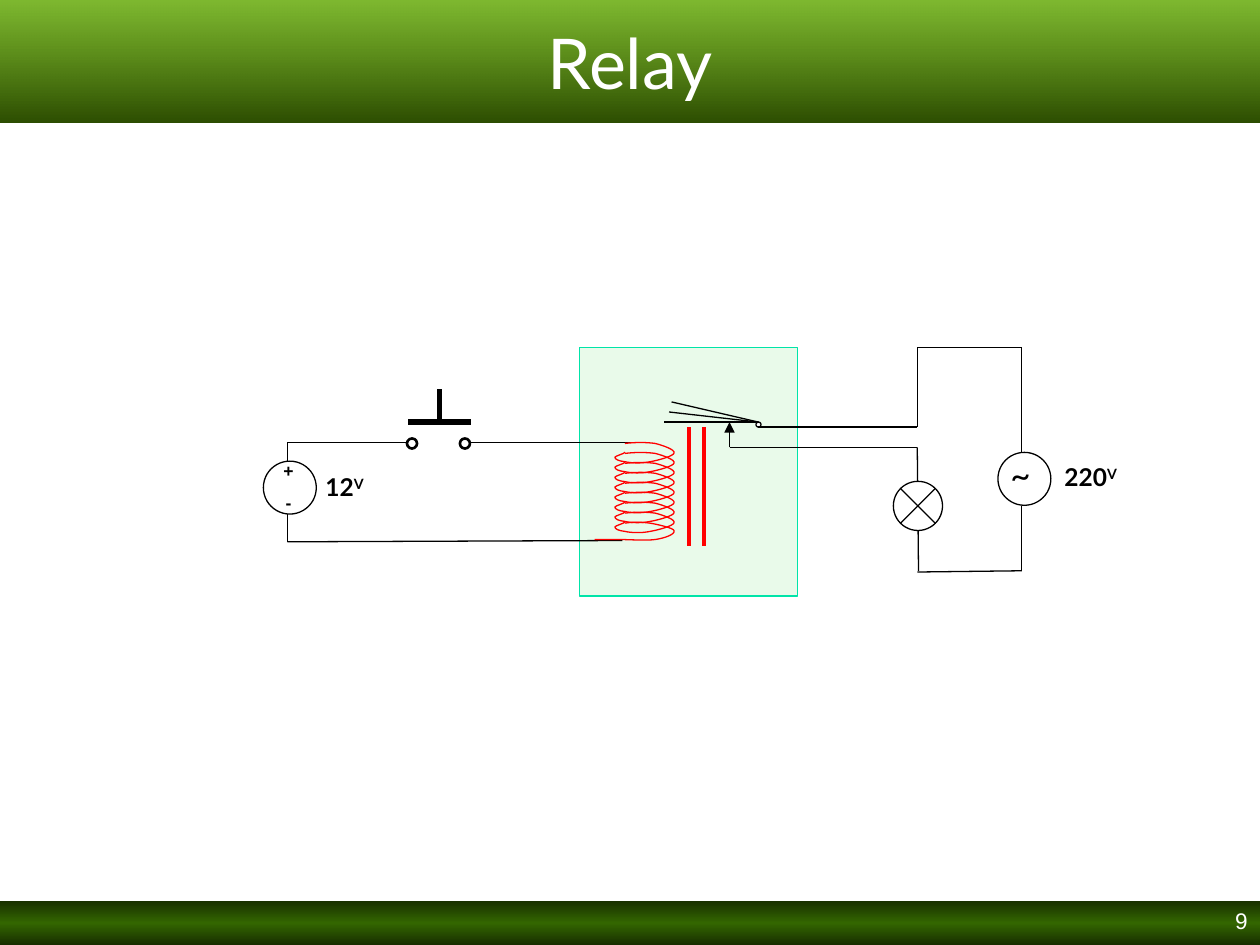
from lxml import etree
from pptx import Presentation
from pptx.dml.color import RGBColor
from pptx.enum.shapes import MSO_CONNECTOR, MSO_SHAPE
from pptx.enum.text import MSO_ANCHOR, MSO_AUTO_SIZE, PP_ALIGN
from pptx.oxml.ns import qn
from pptx.util import Inches, Pt

STRAIGHT = MSO_CONNECTOR.STRAIGHT
RECT, OVAL = MSO_SHAPE.RECTANGLE, MSO_SHAPE.OVAL
LAMP = MSO_SHAPE.FLOWCHART_SUMMING_JUNCTION
LEFT, MID, RIGHT = PP_ALIGN.LEFT, PP_ALIGN.CENTER, PP_ALIGN.RIGHT
FIT, FIXED = MSO_AUTO_SIZE.SHAPE_TO_FIT_TEXT, MSO_AUTO_SIZE.NONE
MIDDLE = MSO_ANCHOR.MIDDLE

COLORS = {
    "black": "000000", "white": "FFFFFF", "red": "FF0000",
    "mint": "2CD034", "teal": "00E4A8",
    "lime": "62A903", "moss": "2D4E01", "dark": "182F00", "green": "336600",
}
COLS, ROWS = 100, 75  # the slide's grid: one cell is a tenth of an inch

# Coil curves, each a start followed by cubic segments (control, control, end)
TURN = [(49.6, .1), (50.4, 0), (51.3, 0), (52, .1), (52.6, .25), (53.6, .6),
        (53.5, .85), (53.5, 1.1), (52.2, 1.45), (51.6, 1.55), (50.9, 1.7),
        (50, 1.65), (49.6, 1.55), (49.1, 1.5), (48.8, 1.35), (48.8, 1.2),
        (48.8, 1.1), (49.6, .9), (49.6, .8)]
TAIL = [(49.6, .1), (50.2, 0), (50.9, 0), (51.6, .1), (52.2, .2), (53.5, .5),
        (53.5, .7), (53.6, 1), (52.7, 1.3), (52, 1.4), (51.2, 1.5),
        (50, 1.4), (49.2, 1.4), (48.4, 1.4), (47.8, 1.4), (47.2, 1.4)]
TURNS, PITCH, COIL_TOP = 8, .79, 35.1


class Board:
    """Style and current slide; lengths are in grid cells."""

    def __init__(self, deck):
        self.cell = deck.slide_width / COLS
        self.slide = deck.slides.add_slide(deck.slide_layouts[5])
        self.shapes = self.slide.shapes

    def size(self, *cells):
        return [round(c * self.cell) for c in cells]

    def tint(self, name):
        return RGBColor.from_string(COLORS[name])

    def group(self):
        return self.shapes.add_group_shape().shapes

    def stroke(self, item, color="black", width=.75):
        item.line.color.rgb = self.tint(color)
        item.line.width = Pt(width)

    def wire(self, x1, y1, x2, y2, color="black", width=.75, arrow=False,
             into=None):
        line = (into or self.shapes).add_connector(
            STRAIGHT, *self.size(x1, y1, x2, y2))
        self.stroke(line, color, width)
        props = line._element.spPr
        if arrow:
            etree.SubElement(props.find(qn("a:ln")), qn("a:tailEnd"),
                             type="triangle")
        etree.SubElement(props, qn("a:effectLst"))

    def shape(self, kind, at, fill="white", line="black", width=.75,
              alpha=None):
        item = self.shapes.add_shape(kind, *self.size(*at))
        item.shadow.inherit = False
        item.fill.solid()
        item.fill.fore_color.rgb = self.tint(fill)
        if alpha:
            color = item._element.spPr.find(".//" + qn("a:srgbClr"))
            etree.SubElement(color, qn("a:alpha"), val=str(alpha * 1000))
        if line:
            self.stroke(item, line, width)
        else:
            item.line.fill.background()
        return item

    def blend(self, item, stops):
        """Fill from top to bottom with (place, color, opacity) stops."""
        item.fill.gradient()
        grad = item._element.spPr.find(qn("a:gradFill"))
        for child in list(grad):
            grad.remove(child)
        row = etree.SubElement(grad, qn("a:gsLst"))
        for place, name, alpha in stops:
            stop = etree.SubElement(row, qn("a:gs"), pos=str(place * 1000))
            color = etree.SubElement(stop, qn("a:srgbClr"), val=COLORS[name])
            if alpha < 100:
                etree.SubElement(color, qn("a:alpha"), val=str(alpha * 1000))
        etree.SubElement(grad, qn("a:lin"), ang="5400000", scaled="0")

    def run(self, para, text, size, font="Lato", color="black", bold=False,
            high=False):
        run = para.add_run()
        run.text = text
        run.font.size, run.font.name, run.font.bold = Pt(size), font, bold
        run.font.color.rgb = self.tint(color)
        if high:
            run._r.get_or_add_rPr().set("baseline", "30000")

    def label(self, at, rows, size, align=LEFT, gap=0, fit=FIT, **style):
        """Text box; each row is a list of texts, the second one raised."""
        frame = self.shapes.add_textbox(*self.size(*at)).text_frame
        frame.word_wrap, frame.auto_size = True, fit
        for i, texts in enumerate(rows):
            para = frame.add_paragraph() if i else frame.paragraphs[0]
            para.alignment = align
            if i:
                para.space_before = Pt(gap)
            for n, text in enumerate(texts):
                self.run(para, text, size, high=n > 0, **style)
        return frame

    def title(self, at, text):
        item = self.shapes.title
        item.left, item.top, item.width, item.height = self.size(*at)
        self.blend(item, [(0, "lime", 82), (100, "moss", 100)])
        frame = item.text_frame
        frame.auto_size, frame.vertical_anchor = FIXED, MIDDLE
        para = frame.paragraphs[0]
        para.alignment = MID
        self.run(para, text, 40, color="white")

    def curve(self, points, top, color, into):
        """Outline whose points after the first form cubic segments."""
        spots = [self.size(x, top + y) for x, y in points]
        pen = into.build_freeform(*spots[0], scale=1.0)
        pen.add_line_segments(spots[1:], close=False)
        loop = pen.convert_to_shape()
        loop.shadow.inherit = False
        loop.fill.background()
        self.stroke(loop, color)
        track = loop._element.find(".//" + qn("a:path"))
        for i, step in enumerate(track.findall(qn("a:lnTo"))):
            if i % 3 == 0:
                bend = etree.SubElement(track, qn("a:cubicBezTo"))
            bend.append(step[0])
            track.remove(step)

    def coil(self, color):
        part = self.group()
        for x in (54.7, 55.9):
            self.wire(x, 33.9, x, 43.3, color, 2.25, into=part)
        for i, points in enumerate([TURN] * TURNS + [TAIL]):
            self.curve(points, COIL_TOP + i * PITCH, color, part)


def main():
    deck = Presentation()
    deck.slide_width, deck.slide_height = Inches(10), Inches(7.5)
    board = Board(deck)
    wire, shape, label = board.wire, board.shape, board.label

    foot = shape(RECT, (0, 71.5, COLS, ROWS - 71.5), line=None)
    board.blend(foot, [(0, "dark", 100), (50, "green", 100),
                       (100, "dark", 100)])
    number = label((76.7, 71.7, 23.3, 3.3), [["9"]], 12.9, RIGHT, fit=FIXED,
                   font="Arial", color="white")
    number.paragraphs[0].line_spacing = .9
    board.title((0, 0, COLS, 9.7), "Relay")

    # Relay with its contact
    shape(RECT, (46, 27.6, 17.3, 19.7), "mint", "teal", alpha=10)
    wire(51.2, 35.1, 37, 35.1)
    wire(57.9, 35.5, 57.9, 33.5, width=.25, arrow=True)
    shape(OVAL, (60, 33.5, .4, .4))
    for x, y in ((53.3, 31.9), (53.1, 32.7), (52.7, 33.5)):
        wire(60.2, 33.5, x, y)

    # Battery side
    for ends in ((22.8, 43, 22.8, 35.1), (49.4, 42.9, 22.8, 43),
                 (32.4, 35.1, 22.8, 35.1)):
        wire(*ends)
    button = board.group()
    wire(32.4, 33.5, 37.4, 33.5, width=3, into=button)
    wire(34.9, 30.9, 34.9, 33.5, width=3, into=button)
    for x in (32.3, 36.5):
        shape(OVAL, (x, 34.8, .8, .8), width=1.5)
    shape(OVAL, (20.9, 36.6, 4.2, 4.2))

    # Mains side
    for ends in ((57.9, 35.5, 72.8, 35.5), (60.2, 33.9, 72.8, 33.9),
                 (72.8, 35.5, 72.9, 45.3), (72.8, 27.6, 72.8, 33.9),
                 (81.1, 27.6, 72.8, 27.6), (81.1, 27.6, 81.1, 35.9),
                 (81.1, 40.2, 81.1, 45.3), (81.1, 45.3, 72.8, 45.4)):
        wire(*ends)
    shape(OVAL, (79.2, 35.9, 4.2, 4.2))
    shape(LAMP, (70.9, 38.2, 3.9, 3.9))

    board.coil("red")
    label((79.2, 35.5, 4.2, 4.4), [["~"]], 20)
    label((83.5, 36.2, 6.7, 3.4), [["220", "V"]], 14, bold=True)
    label((23.6, 37, 7.5, 3.4), [["12", "V"]], 14, MID, bold=True)
    label((21.4, 36, 3, 5.2), [["+"], ["-"]], 10, MID, gap=6.2,
          font="Arial", bold=True)
    deck.save("out.pptx")


if __name__ == "__main__":
    main()
